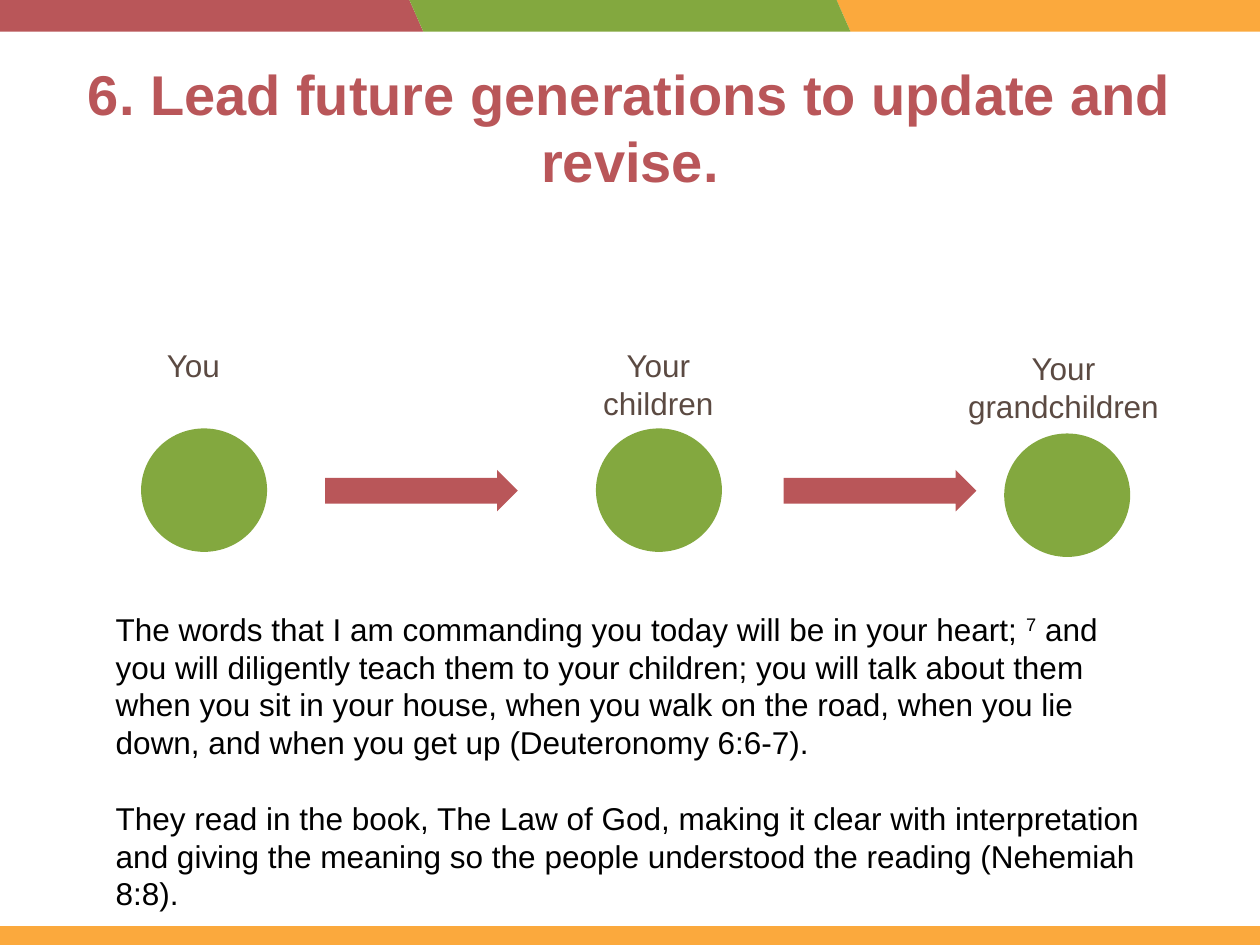
from pptx import Presentation
from pptx.dml.color import RGBColor
from pptx.enum.shapes import MSO_SHAPE
from pptx.enum.text import MSO_ANCHOR, MSO_AUTO_SIZE, PP_ALIGN
from pptx.util import Inches, Pt

CELL = Inches(0.1)
COLS, ROWS = 100, 75
RED, GREEN, GOLD, BROWN, BLACK = "B95659", "83A83F", "FBA93D", "5B4A42", "000000"
STAGES = [
    ("You", (11.2, 27, 8.3, 4), (11.2, 34)),
    ("Your children", (46.2, 27, 12.1, 7.1), (47.3, 34)),
    ("Your grandchildren", (75.5, 27.2, 17.8, 7.1), (79.7, 34.4)),
]
VERSES = [
    ["The words that I am commanding you today will be in your heart; ", "7",
     " and you will diligently teach them to your children; you will talk about "
     "them when you sit in your house, when you walk on the road, when you lie "
     "down, and when you get up (Deuteronomy 6:6-7)."],
    ["They read in the book, The Law of God, making it clear with interpretation "
     "and giving the meaning so the people understood the reading (Nehemiah 8:8)."],
]


def cells(*spans):
    """Turn grid spans into lengths."""
    return [int(span * CELL) for span in spans]


def color(code):
    """Turn a hex string into a colour."""
    return RGBColor.from_string(code)


def style(para, size, code, align=PP_ALIGN.LEFT, bold=False):
    """Set the font and alignment of a paragraph."""
    para.alignment = align
    font = para.font
    font.name, font.size, font.bold = "Arial", Pt(size), bold
    font.color.rgb = color(code)


def add_form(slide, kind, box, code, adjust=()):
    """Add a flat preset shape without an outline."""
    form = slide.shapes.add_shape(kind, *cells(*box))
    form.shadow.inherit = False
    form.fill.solid()
    form.fill.fore_color.rgb = color(code)
    form.line.fill.background()
    for i, value in enumerate(adjust):
        form.adjustments[i] = value
    return form


def add_text(slide, box):
    """Add a wrapping text box and return its frame."""
    frame = slide.shapes.add_textbox(*cells(*box)).text_frame
    frame.word_wrap = True
    frame.auto_size = MSO_AUTO_SIZE.SHAPE_TO_FIT_TEXT
    return frame


def add_bands(slide):
    """Add the slanted top bands and the bottom bar."""
    for left, code in [(66.4, GOLD), (-1.4, RED), (32.5, GREEN)]:
        band = add_form(slide, MSO_SHAPE.PARALLELOGRAM, (left, 0, 35, 2.5), code, [0.44])
        band.element.spPr.xfrm.set("flipH", "1")
    add_form(slide, MSO_SHAPE.RECTANGLE, (0, ROWS - 1.5, COLS, 1.5), GOLD)


def set_title(slide, text):
    """Place and format the title."""
    title = slide.shapes.title
    title.left, title.top, title.width, title.height = cells(2.4, 4.2, 95.2, 14.5)
    frame = title.text_frame
    frame.text = text
    frame.auto_size = MSO_AUTO_SIZE.NONE
    frame.vertical_anchor = MSO_ANCHOR.TOP
    style(frame.paragraphs[0], 32, RED, PP_ALIGN.CENTER, True)


def add_stage(slide, name, box, spot):
    """Add one generation: a label and its circle."""
    frame = add_text(slide, box)
    frame.text = name
    style(frame.paragraphs[0], 18, BROWN, PP_ALIGN.CENTER)
    add_form(slide, MSO_SHAPE.OVAL, (*spot, 10, 9.8), GREEN)


def add_verses(slide):
    """Add the quotations, with the verse number raised."""
    frame = add_text(slide, (8.2, 47.9, 83.5, 25.2))
    for i, parts in enumerate(VERSES):
        para = frame.add_paragraph() if i else frame.paragraphs[0]
        if i:
            para.space_before = Pt(21.6)
        style(para, 18, BLACK)
        for part in parts:
            run = para.add_run()
            run.text = part
            if part.isdigit():
                run.font._element.set("baseline", "30000")


def main():
    """Build and save the slide."""
    deck = Presentation()
    deck.slide_width, deck.slide_height = cells(COLS, ROWS)
    slide = deck.slides.add_slide(deck.slide_layouts.get_by_name("Title Only"))
    add_bands(slide)
    set_title(slide, "6. Lead future generations to update and revise.")
    for stage in STAGES:
        add_stage(slide, *stage)
    for left in (25.8, 62.2):
        add_form(slide, MSO_SHAPE.RIGHT_ARROW, (left, 37.3, 15.3, 3.3), RED, [0.62, 0.5])
    add_verses(slide)
    deck.save("out.pptx")


if __name__ == "__main__":
    main()
